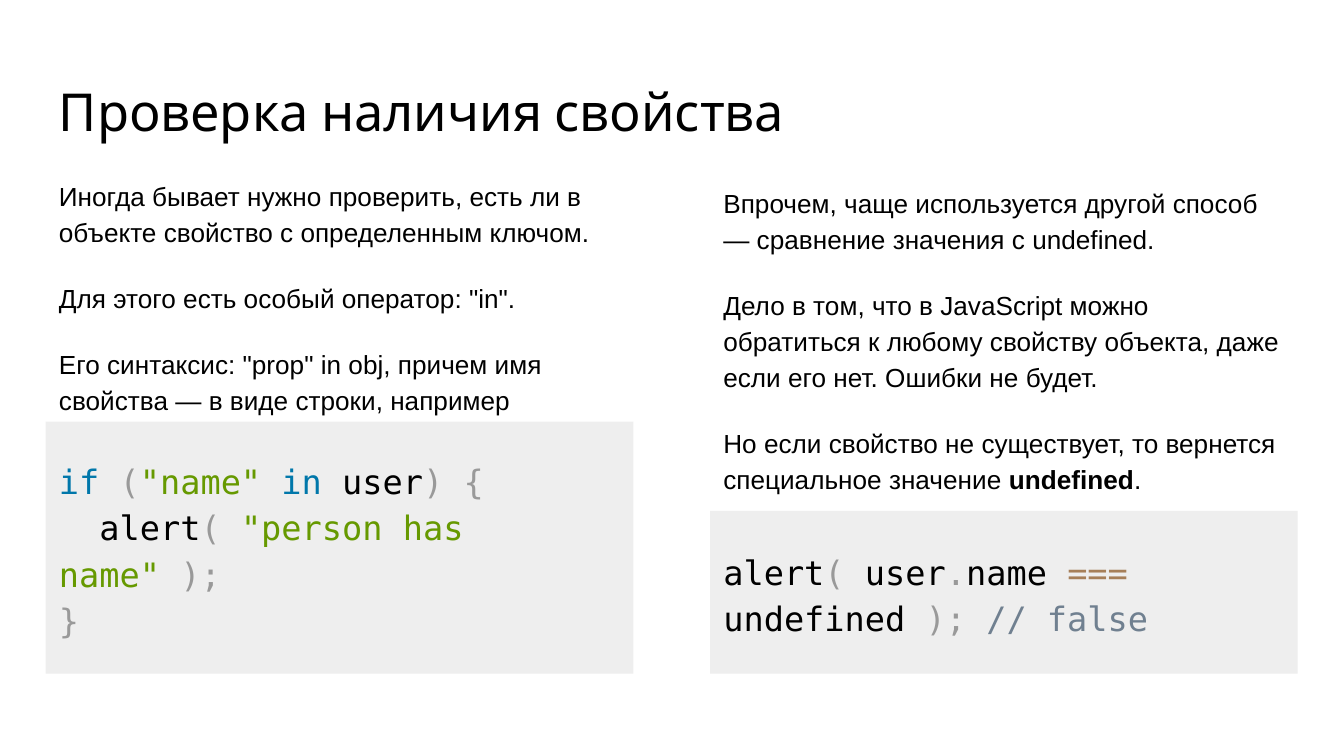
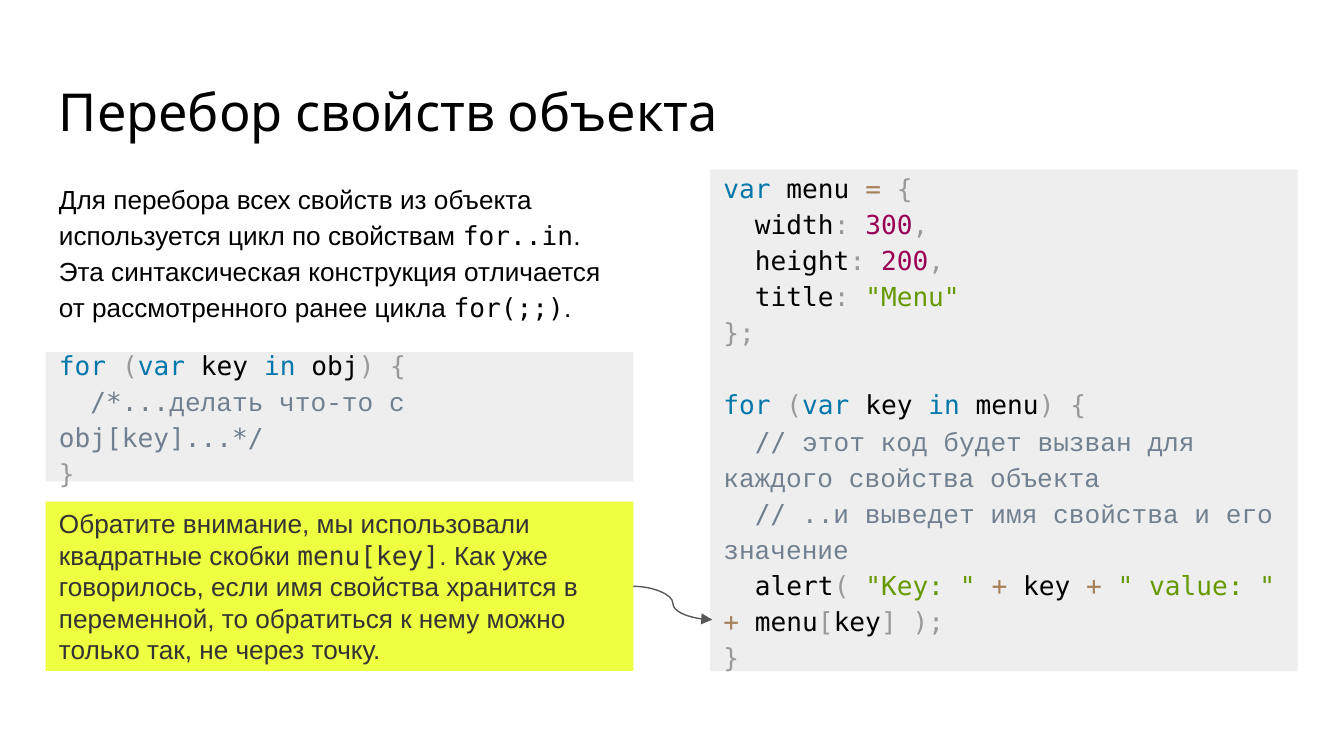
from lxml import etree
from pptx import Presentation
from pptx.dml.color import RGBColor
from pptx.enum.shapes import MSO_CONNECTOR, MSO_SHAPE
from pptx.enum.text import MSO_ANCHOR, PP_ALIGN
from pptx.oxml.ns import qn
from pptx.util import Pt

RECT = MSO_SHAPE.RECTANGLE
CURVE = MSO_CONNECTOR.CURVE
TOP, MID = MSO_ANCHOR.TOP, MSO_ANCHOR.MIDDLE
LEFT = PP_ALIGN.LEFT

HUES = {
    "ink": "000000", "note": "333333", "line": "595959",
    "code": "EEEEEE", "mark": "EEFF41",
    "key": "0077AA", "punct": "999999", "string": "669900",
    "sign": "A67F59", "number": "990055", "remark": "708090",
}
HEAD, SANS, MONO, TYPED = "Karla", "Arial", "DejaVu Sans Mono", "Courier New"
STYLES = {
    "head": (HEAD, "ink"),
    "text": (SANS, "ink"),
    "bold": (SANS, "ink"),
    "term": (MONO, "ink"),
    "note": (SANS, "note"),
    "noteterm": (MONO, "note"),
    "name": (MONO, "ink"),
    "talk": (TYPED, "remark"),
    **{hue: (MONO, hue) for hue in ("key", "punct", "string", "sign", "number", "remark")},
}

WIDE, HIGH = 720, 405
EDGE, COL, BODY = 24.5, 314.8, 90.7
NEXT = 380.4
PAD = 7.2

CHECK = [
    [("text", "Иногда бывает нужно проверить, есть ли в объекте свойство с определенным ключом.")],
    [("text", "Для этого есть особый оператор: \"in\".")],
    [("text", "Его синтаксис: \"prop\" in obj, причем имя свойства — в виде строки, например")],
]
COMPARE = [
    [("text", "Впрочем, чаще используется другой способ — сравнение значения с undefined.")],
    [("text", "Дело в том, что в JavaScript можно обратиться к любому свойству объекта, "
              "даже если его нет. Ошибки не будет.")],
    [("text", "Но если свойство не существует, то вернется специальное значение "),
     ("bold", "undefined"), ("text", ".")],
]
IF_CODE = [
    ("key", "if "), ("punct", "("), ("string", "\"name\" "), ("key", "in"), ("name", " user"),
    ("punct", ") {\n"), ("name", "  alert"), ("punct", "( "),
    ("string", "\"person has name\" "), ("punct", ");\n}"),
]
ALERT = [
    ("name", "alert"), ("punct", "("), ("name", " user"), ("punct", "."), ("name", "name "),
    ("sign", "==="), ("name", " undefined "), ("punct", "); "), ("remark", "// false"),
]
LOOP = [[
    ("text", "Для перебора всех свойств из объекта используется цикл по свойствам "),
    ("term", "for..in"),
    ("text", ". Эта синтаксическая конструкция отличается от рассмотренного ранее цикла "),
    ("term", "for(;;)"), ("text", "."),
]]


def for_head(item):
    """Return the opening of a for..in loop over the item."""
    return [("key", "for "), ("punct", "("), ("key", "var"), ("name", " key "),
            ("key", "in"), ("name", f" {item}"), ("punct", ") {\n  ")]


def field(name, value, style, end):
    """Return one property line of an object literal."""
    return [("name", f"  {name}"), ("punct", ": "), (style, value), ("punct", end)]


FOR_CODE = for_head("obj") + [
    ("remark", "/*..."), ("talk", "делать что-то с "), ("remark", "obj[key]...*/\n"),
    ("punct", "}"),
]
MENU = [
    ("key", "var"), ("name", " menu "), ("sign", "= "), ("punct", "{\n"),
    *field("width", "300", "number", ",\n"),
    *field("height", "200", "number", ",\n"),
    *field("title", "\"Menu\"", "string", "\n};\n\n"),
    *for_head("menu"),
    ("remark", "// "), ("talk", "этот код будет вызван для каждого свойства объекта\n  "),
    ("remark", "// "), ("talk", "..и выведет имя свойства и его значение\n"),
    ("name", "  alert"), ("punct", "( "), ("string", "\"Key: \" "), ("sign", "+"),
    ("name", " key "), ("sign", "+ "), ("string", "\" value: \" "), ("sign", "+"),
    ("name", " menu"), ("punct", "["), ("name", "key"), ("punct", "] );\n}"),
]
NOTE = [
    ("note", "Обратите внимание, мы использовали квадратные скобки "),
    ("noteterm", "menu[key]"),
    ("note", ". Как уже говорилось, если имя свойства хранится в переменной, "
             "то обратиться к нему можно только так, не через точку."),
]


def tint(hue):
    """Return the named colour."""
    return RGBColor.from_string(HUES[hue])


def place(box):
    """Turn a box of numbers into points."""
    return [Pt(side) for side in box]


def write(shape, paras, size, lead=1.15, anchor=MID):
    """Fill a shape with paragraphs of styled runs."""
    frame = shape.text_frame
    frame.word_wrap = True
    frame.vertical_anchor = anchor
    frame.margin_left = frame.margin_right = Pt(PAD)
    frame.margin_top = frame.margin_bottom = Pt(PAD)
    for spot, runs in enumerate(paras):
        para = frame.paragraphs[0] if spot == 0 else frame.add_paragraph()
        para.alignment = LEFT
        para.line_spacing = lead
        para.space_before = Pt(16 if spot else 0)
        for style, text in runs:
            face, hue = STYLES[style]
            for row, part in enumerate(text.split("\n")):
                if row:
                    para.add_line_break()
                if part:
                    run = para.add_run()
                    run.text = part
                    run.font.name = face
                    run.font.size = Pt(size)
                    run.font.bold = style == "bold"
                    run.font.color.rgb = tint(hue)
        for gap in para._p.findall(qn("a:br")):
            etree.SubElement(gap, qn("a:rPr"), sz=str(size * 100))


def prose(slide, box, paras, size=14, lead=1.15, anchor=MID):
    """Place plain text in the box."""
    write(slide.shapes.add_textbox(*place(box)), paras, size, lead, anchor)


def panel(slide, box, runs, size=14, hue="code", lead=1.15):
    """Place a filled panel with text in the box."""
    shape = slide.shapes.add_shape(RECT, *place(box))
    shape.shadow.inherit = False
    shape.fill.solid()
    shape.fill.fore_color.rgb = tint(hue)
    shape.line.fill.background()
    write(shape, [runs], size, lead)


def arrow(slide, start, end):
    """Draw a curved arrow between two points."""
    link = slide.shapes.add_connector(CURVE, *place(start + end))
    link.line.color.rgb = tint("line")
    link.line.width = Pt(0.75)
    props = link._element.spPr
    etree.SubElement(props.find(qn("a:ln")), qn("a:tailEnd"), type="triangle", w="med", len="med")
    etree.SubElement(props, qn("a:effectLst"))


def page(deck, title):
    """Add a blank slide with its title."""
    slide = deck.slides.add_slide(deck.slide_layouts[6])
    slide.background.fill.solid()
    slide.background.fill.fore_color.rgb = RGBColor(255, 255, 255)
    prose(slide, (EDGE, 35.3, 671, 45.4), [[("head", title)]], 28, 1.0, TOP)
    return slide


def check(deck):
    """Build the slide on testing for a property."""
    slide = page(deck, "Проверка наличия свойства")
    prose(slide, (EDGE, BODY, COL, 135.2), CHECK)
    prose(slide, (NEXT, BODY, COL, 179), COMPARE, anchor=TOP)
    panel(slide, (EDGE, 225.9, COL, 135), IF_CODE, 18)
    panel(slide, (NEXT, 273.7, COL, 87.2), ALERT, 18)


def loop(deck):
    """Build the slide on looping over properties."""
    slide = page(deck, "Перебор свойств объекта")
    top, high = 268.7, 90.8
    prose(slide, (EDGE, BODY, COL, 87.1), LOOP)
    panel(slide, (NEXT, BODY, COL, top + high - BODY), MENU)
    panel(slide, (EDGE, 188.6, COL, 69.4), FOR_CODE)
    panel(slide, (EDGE, top, COL, high), NOTE, hue="mark", lead=1.0)
    arrow(slide, (EDGE + COL, top + high / 2), (NEXT + 1.2, 332))


def main():
    """Build and save the deck."""
    deck = Presentation()
    deck.slide_width, deck.slide_height = Pt(WIDE), Pt(HIGH)
    check(deck)
    loop(deck)
    deck.save("out.pptx")


if __name__ == "__main__":
    main()
